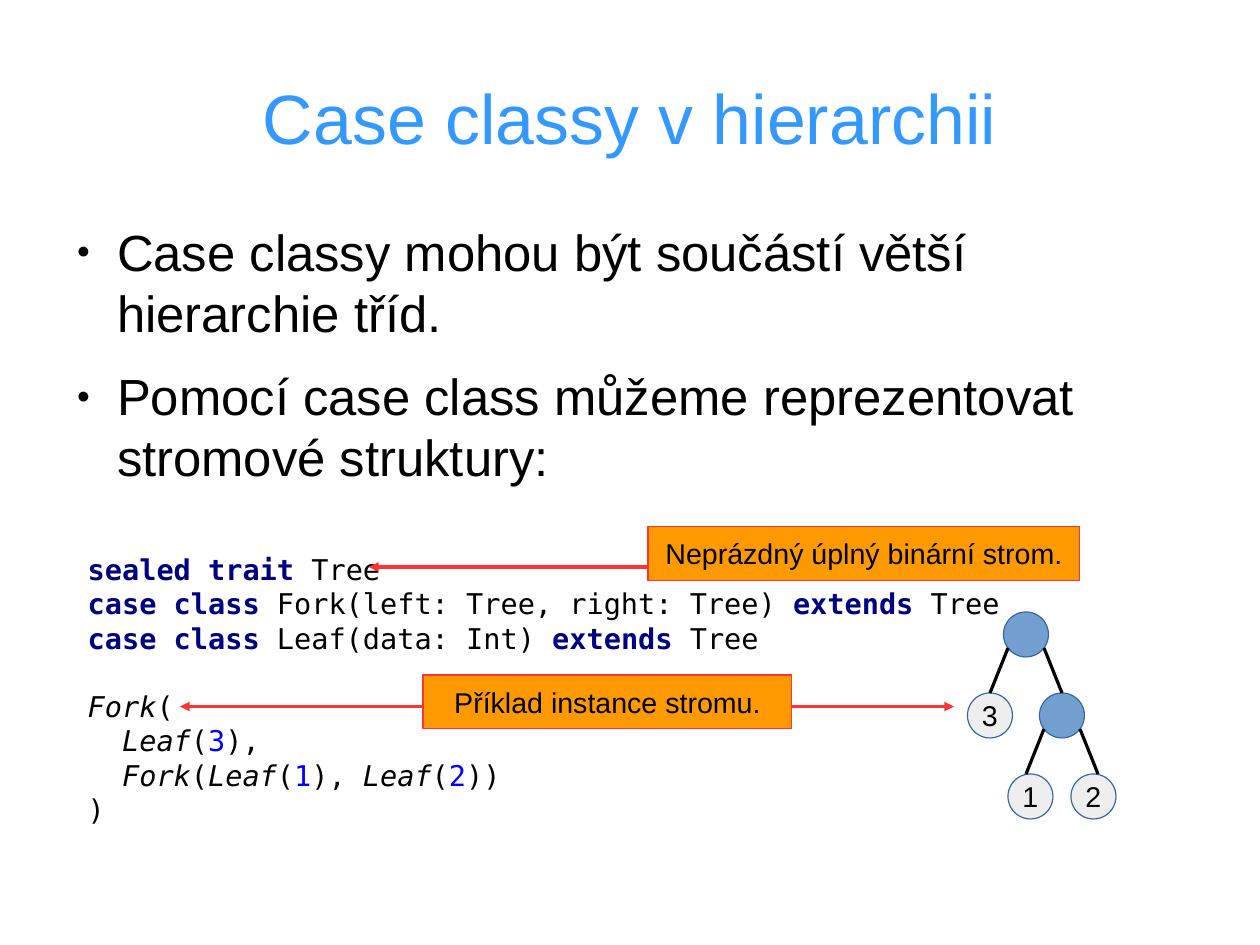
from lxml.etree import SubElement
from pptx import Presentation
from pptx.dml.color import RGBColor
from pptx.enum.shapes import MSO_CONNECTOR, MSO_SHAPE
from pptx.enum.text import MSO_ANCHOR as Anchor, MSO_AUTO_SIZE as AutoSize, PP_ALIGN as Align
from pptx.oxml.ns import qn
from pptx.util import Cm, Pt

BLACK = RGBColor(0x00, 0x00, 0x00)
TITLE_BLUE = RGBColor(0x33, 0x99, 0xFF)
KEYWORD_NAVY = RGBColor(0x00, 0x00, 0x80)
NUMBER_BLUE = RGBColor(0x00, 0x00, 0xFF)
ORANGE = RGBColor(0xFF, 0x99, 0x00)
RED = RGBColor(0xFF, 0x33, 0x33)
LEAF_GREY = RGBColor(0xEE, 0xEE, 0xEE)
FORK_BLUE = RGBColor(0x72, 0x9F, 0xCF)
NODE_EDGE = RGBColor(0x34, 0x65, 0xA4)


def write(para, text, size=18, font="Arial", color=BLACK, bold=False, italic=False):
    span = para.add_run()
    span.text = text
    span.font.size = Pt(size)
    span.font.name = font
    span.font.color.rgb = color
    span.font.bold = bold
    span.font.italic = italic


def draw_line(shapes, start, end, color, arrow=False):
    line = shapes.add_connector(MSO_CONNECTOR.STRAIGHT, *map(Cm, start + end))
    line.line.color.rgb = color
    line.line.width = Pt(0)
    if arrow:
        SubElement(line.line._get_or_add_ln(), qn("a:tailEnd"), type="triangle")
    SubElement(line._element.spPr, qn("a:effectLst"))


deck = Presentation()
deck.slide_width, deck.slide_height = Cm(28), Cm(21)
page = deck.slides.add_slide(deck.slide_layouts[1])
title, body = page.placeholders[0], page.placeholders[1]

# Title and list
for holder, top, height, anchor in (
    (title, 0.84, 3.5, Anchor.MIDDLE),
    (body, 4.9, 12.17, Anchor.TOP),
):
    holder.left, holder.top = Cm(1.4), Cm(top)
    holder.width, holder.height = Cm(25.2), Cm(height)
    frame = holder.text_frame
    frame.margin_left = frame.margin_right = frame.margin_top = frame.margin_bottom = 0
    frame.vertical_anchor = anchor
    frame.word_wrap = True
    frame.auto_size = AutoSize.NONE

heading = title.text_frame.paragraphs[0]
heading.alignment = Align.CENTER
write(heading, "Case classy v hierarchii", size=44, color=TITLE_BLUE)

points = (
    "Case classy mohou být součástí větší hierarchie tříd.",
    "Pomocí case class můžeme reprezentovat stromové struktury:",
)
for number, point in enumerate(points):
    para = body.text_frame.add_paragraph() if number else body.text_frame.paragraphs[0]
    props = para._p.get_or_add_pPr()
    props.set("marL", str(Cm(1.2)))
    props.set("indent", str(Cm(-0.9)))
    bullet_color = SubElement(props, qn("a:buClr"))
    SubElement(bullet_color, qn("a:srgbClr"), val=str(BLACK))
    SubElement(props, qn("a:buSzPct"), val="45000")
    SubElement(props, qn("a:buChar"), char="●")
    para.space_before = Pt(14.2 if number else 0)
    write(para, point, size=32)

# Code
PLAIN = {}
KEYWORD = {"color": KEYWORD_NAVY, "bold": True}
CALL = {"italic": True}
NUMBER = {"color": NUMBER_BLUE}
code_lines = (
    (("sealed trait ", KEYWORD), ("Tree", PLAIN)),
    (("case class ", KEYWORD), ("Fork(left: Tree, right: Tree) ", PLAIN),
     ("extends ", KEYWORD), ("Tree", PLAIN)),
    (("case class ", KEYWORD), ("Leaf(data: Int) ", PLAIN),
     ("extends ", KEYWORD), ("Tree", PLAIN)),
    (("Fork", CALL), ("(", PLAIN)),
    (("  Leaf", CALL), ("(", PLAIN), ("3", NUMBER), ("),", PLAIN)),
    (("  Fork", CALL), ("(", PLAIN), ("Leaf", CALL), ("(", PLAIN), ("1", NUMBER),
     ("), ", PLAIN), ("Leaf", CALL), ("(", PLAIN), ("2", NUMBER), ("))", PLAIN)),
    ((")", PLAIN),),
)
INSTANCE_LINE = 3
code = page.shapes.add_textbox(Cm(1.7), Cm(12.14), Cm(23.2), Cm(6.22)).text_frame
code.word_wrap = True
for number, spans in enumerate(code_lines):
    para = code.add_paragraph() if number else code.paragraphs[0]
    if number == INSTANCE_LINE:
        para.space_before = Pt(21.5)
    for text, style in spans:
        write(para, text, font="DejaVu Sans Mono", **style)

# Callouts and tree nodes
tree = page.shapes.add_group_shape().shapes
NODE = (tree, MSO_SHAPE.OVAL, 1, 1, NODE_EDGE)
root, right_fork = (22.3, 13.6), (23.1, 15.4)
figures = (
    (page.shapes, MSO_SHAPE.RECTANGLE, 8.2, 1.2, RED, (9.4, 15), ORANGE,
     "Příklad instance stromu."),
    (page.shapes, MSO_SHAPE.RECTANGLE, 9.6, 1.2, RED, (14.4, 11.7), ORANGE,
     "Neprázdný úplný binární strom."),
    (*NODE, root, FORK_BLUE, ""),
    (*NODE, right_fork, FORK_BLUE, ""),
    (*NODE, (21.5, 15.4), LEAF_GREY, "3"),
    (*NODE, (22.4, 17.2), LEAF_GREY, "1"),
    (*NODE, (23.8, 17.2), LEAF_GREY, "2"),
)
for shapes, kind, width, height, edge, (left, top), fill, text in figures:
    box = shapes.add_shape(kind, Cm(left), Cm(top), Cm(width), Cm(height))
    box.shadow.inherit = False
    box.fill.solid()
    box.fill.fore_color.rgb = fill
    box.line.color.rgb = edge
    box.line.width = Pt(0)
    if text:
        box.text_frame.word_wrap = False
        box.text_frame.vertical_anchor = Anchor.MIDDLE
        para = box.text_frame.paragraphs[0]
        para.alignment = Align.CENTER
        write(para, text)

# Branches
for left, top in (root, right_fork):
    for start, lean in ((0.1, -0.4), (0.9, 0.4)):
        draw_line(tree, (left + start, top + 0.8), (left + start + lean, top + 1.8), BLACK)

# Callout arrows
for start, end, level in ((17.6, 21.2, 15.7), (9.4, 4, 15.7), (14.4, 8.2, 12.6)):
    draw_line(page.shapes, (start, level), (end, level), RED, arrow=True)

deck.save("out.pptx")
